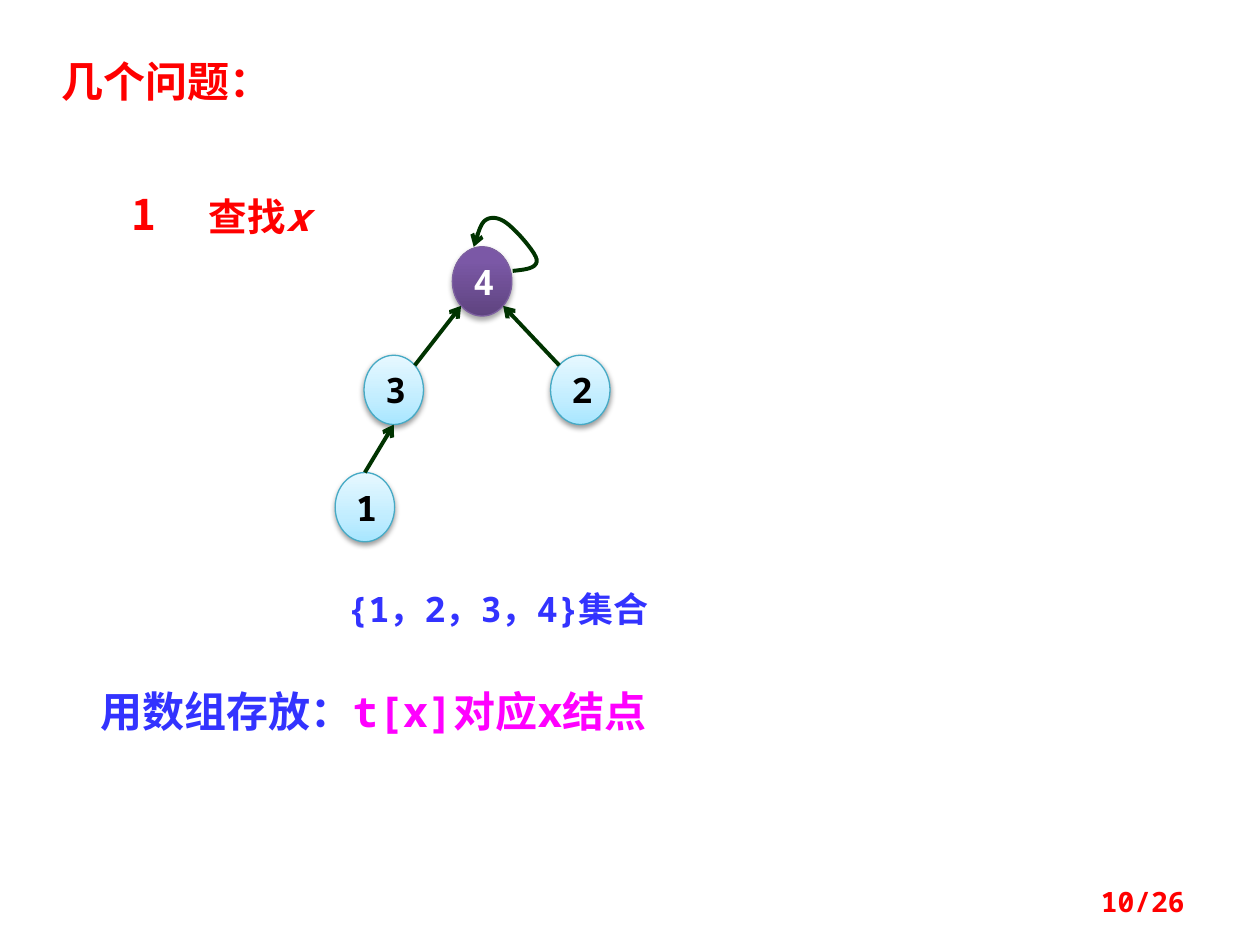
from dataclasses import dataclass
from math import cos, radians, sin

from pptx import Presentation
from pptx.dml.color import RGBColor
from pptx.enum.shapes import MSO_CONNECTOR, MSO_SHAPE
from pptx.enum.text import MSO_ANCHOR, PP_ALIGN
from pptx.oxml import parse_xml
from pptx.oxml.ns import qn
from pptx.util import Pt

A_NS = 'xmlns:a="http://schemas.openxmlformats.org/drawingml/2006/main"'


@dataclass(frozen=True)
class Theme:
    red: str = "FF0000"
    blue: str = "3333FF"
    magenta: str = "FF00FF"
    black: str = "000000"
    white: str = "FFFFFF"
    edge: str = "003300"
    sans: str = "Noto Sans CJK SC"
    mono: str = "Noto Sans Mono"
    heading: float = 24
    item: float = 22
    label: float = 20
    page: float = 16
    edge_width: float = 2.25
    node_line: float = 0.75


@dataclass(frozen=True)
class NodeStyle:
    stops: tuple[tuple[int, str], ...]
    line: str
    text: str
    shadow_alpha: int
    shadow_distance: float


@dataclass(frozen=True)
class Node:
    label: str
    x: float
    y: float
    style: NodeStyle
    w: float = 34
    h: float = 39.6

    def rim(self, degrees: float) -> tuple[float, float]:
        """Point on the outline, clockwise from the right."""
        a = radians(degrees)
        return (self.x + self.w / 2 * (1 + cos(a)),
                self.y + self.h / 2 * (1 + sin(a)))


@dataclass(frozen=True)
class Run:
    text: str
    size: float
    color: str
    font: str = Theme.mono
    italic: bool = False


@dataclass(frozen=True)
class Label:
    box: tuple[float, float, float, float]
    runs: tuple[Run, ...]
    align: PP_ALIGN = PP_ALIGN.LEFT
    anchor: MSO_ANCHOR = MSO_ANCHOR.TOP
    hanging: float = 0


T = Theme()
ROOT = NodeStyle(((0, "5F4480"), (80, "7B58A6"), (100, "7C57A8")),
                 "7D60A0", T.white, 35, 1.8)
CHILD = NodeStyle(((0, "A7E6FF"), (35, "C1EDFF"), (100, "E7F8FF")),
                  "46AAC5", T.black, 38, 1.6)

N4 = Node("4", 258.5, 141, ROOT)
N3 = Node("3", 208, 203, CHILD)
N2 = Node("2", 314.6, 203, CHILD)
N1 = Node("1", 191.5, 270, CHILD)
NODES = (N4, N3, N2, N1)
EDGES = (
    (N3.rim(-45), N4.rim(135)),
    (N2.rim(-135), N4.rim(45)),
    (N1.rim(-90), N3.rim(90)),
)
LOOP_START = (293, 154.8)
LOOP_CURVES = (
    ((300.2, 154.1), (307.4, 153.4), (306.7, 148.3)),
    ((306, 144), (294.5, 131), (289.4, 127.4)),
    ((284.4, 123.8), (280.1, 123.8), (277.2, 126)),
    ((274.3, 128.2), (272.9, 134.6), (270.7, 141.1)),
)

LABELS = (
    Label((28, 28, 230, 36), (Run("几个问题：", T.heading, T.red, T.sans),)),
    Label((67, 104.4, 30, 36), (Run("1", T.heading, T.red, T.sans),), PP_ALIGN.CENTER),
    Label((112.3, 106.6, 118, 34),
          (Run("查找", T.item, T.red), Run("x", T.item, T.red, italic=True)), hanging=36),
    Label((191.5, 332, 196.5, 32), (Run("{1，2，3，4}集合", T.label, T.blue),)),
    Label((50.4, 388, 366, 36),
          (Run("用数组存放：", T.heading, T.blue), Run("t[x]对应x结点", T.heading, T.magenta))),
    Label((516.2, 500.4, 167.8, 28.8), (Run("10/26", T.page, T.red),),
          PP_ALIGN.RIGHT, MSO_ANCHOR.MIDDLE),
)


def add_run(p, run: Run) -> None:
    r = p.add_run()
    r.text = run.text
    f = r.font
    f.name, f.size, f.bold = run.font, Pt(run.size), True
    if run.italic:
        f.italic = True
    f.color.rgb = RGBColor.from_string(run.color)
    f._element.find(qn("a:latin")).addnext(
        parse_xml(f'<a:ea {A_NS} typeface="{T.sans}"/>'))


def add_label(s, label: Label) -> None:
    tf = s.shapes.add_textbox(*map(Pt, label.box)).text_frame
    tf.word_wrap = True
    tf.vertical_anchor = label.anchor
    p = tf.paragraphs[0]
    p.alignment = label.align
    if label.hanging:
        pPr = p._p.get_or_add_pPr()
        pPr.set("marL", str(Pt(label.hanging)))
        pPr.set("indent", str(-Pt(label.hanging)))
    for run in label.runs:
        add_run(p, run)


def add_node(s, node: Node) -> None:
    style = node.style
    sp = s.shapes.add_shape(MSO_SHAPE.OVAL, *map(Pt, (node.x, node.y, node.w, node.h)))
    sp.fill.gradient()
    sp.fill.gradient_angle = 90
    stops = sp._element.spPr.find(".//" + qn("a:gsLst"))
    stops[:] = [parse_xml(f'<a:gs {A_NS} pos="{pos * 1000}"><a:srgbClr val="{color}"/></a:gs>')
                for pos, color in style.stops]
    sp.line.color.rgb = RGBColor.from_string(style.line)
    sp.line.width = Pt(T.node_line)
    sp._element.spPr.append(parse_xml(
        f'<a:effectLst {A_NS}><a:outerShdw blurRad="{Pt(3.1)}" '
        f'dist="{Pt(style.shadow_distance)}" dir="5400000" rotWithShape="0">'
        f'<a:srgbClr val="{T.black}"><a:alpha val="{style.shadow_alpha * 1000}"/></a:srgbClr>'
        '</a:outerShdw></a:effectLst>'))
    tf = sp.text_frame
    tf.vertical_anchor = MSO_ANCHOR.MIDDLE
    p = tf.paragraphs[0]
    p.alignment = PP_ALIGN.CENTER
    add_run(p, Run(node.label, T.label, style.text))


def style_arrow(sp) -> None:
    sp.line.color.rgb = RGBColor.from_string(T.edge)
    sp.line.width = Pt(T.edge_width)
    sp.line._get_or_add_ln().append(parse_xml(f'<a:tailEnd {A_NS} type="arrow"/>'))


def add_edge(s, start: tuple[float, float], end: tuple[float, float]) -> None:
    sp = s.shapes.add_connector(MSO_CONNECTOR.STRAIGHT, *map(Pt, start + end))
    style_arrow(sp)
    sp._element.spPr.append(parse_xml(f'<a:effectLst {A_NS}/>'))


def bezier(points, t: float) -> tuple[int, int]:
    weights = ((1 - t) ** 3, 3 * t * (1 - t) ** 2, 3 * t * t * (1 - t), t ** 3)
    return tuple(Pt(sum(w * pt[axis] for w, pt in zip(weights, points))) for axis in (0, 1))


def add_loop(s, steps: int = 10) -> None:
    """Arrow from the root back to itself."""
    start, vertices = LOOP_START, []
    for curve in LOOP_CURVES:
        vertices += [bezier((start, *curve), i / steps) for i in range(1, steps + 1)]
        start = curve[-1]
    builder = s.shapes.build_freeform(*map(Pt, LOOP_START))
    builder.add_line_segments(vertices, close=False)
    sp = builder.convert_to_shape()
    sp.fill.background()
    style_arrow(sp)
    sp.shadow.inherit = False


def main() -> None:
    prs = Presentation()
    prs.slide_width, prs.slide_height = Pt(720), Pt(540)
    s = prs.slides.add_slide(prs.slide_layouts[6])
    for node in NODES:
        add_node(s, node)
    for start, end in EDGES:
        add_edge(s, start, end)
    add_loop(s)
    for label in LABELS:
        add_label(s, label)
    prs.save("out.pptx")


if __name__ == "__main__":
    main()
